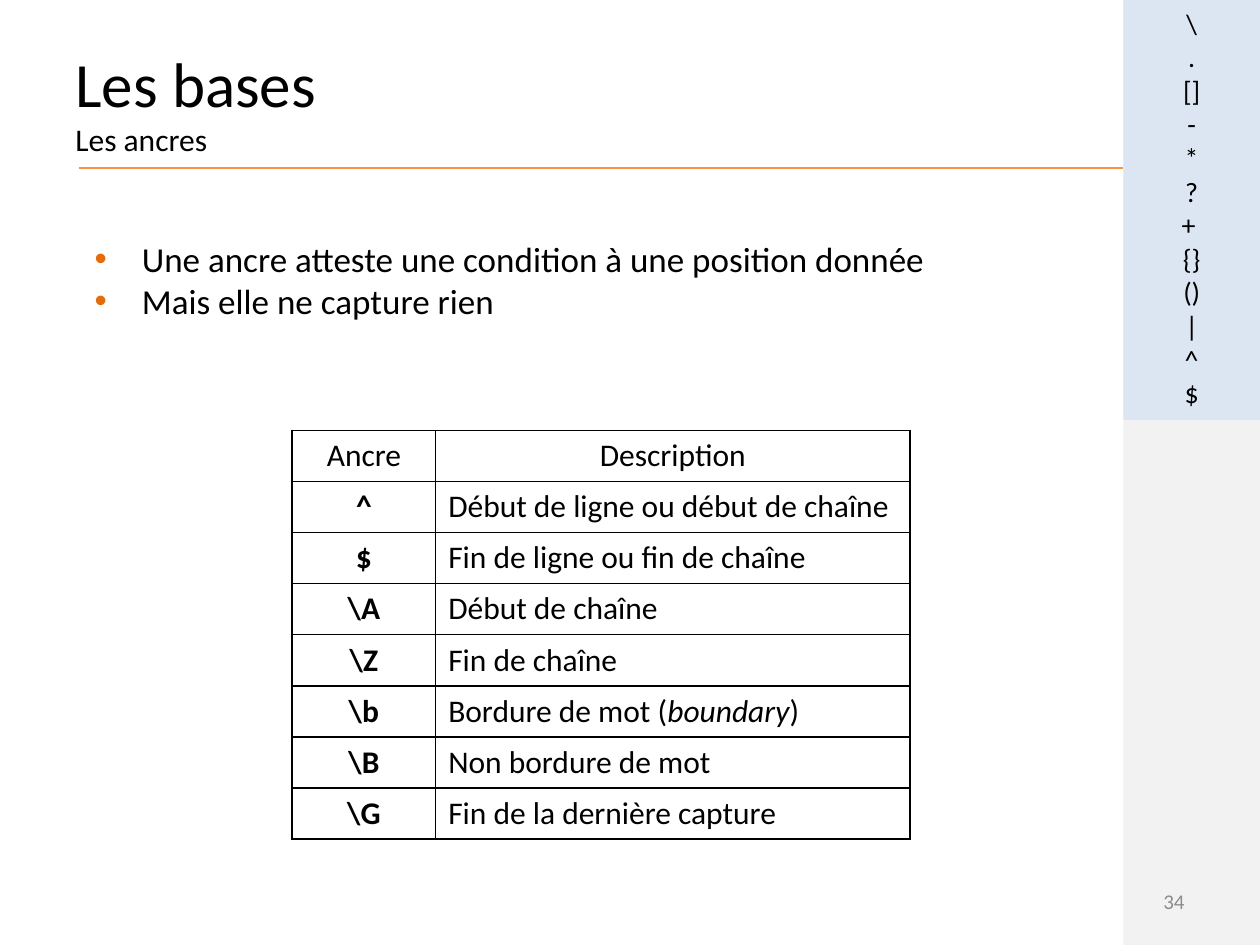
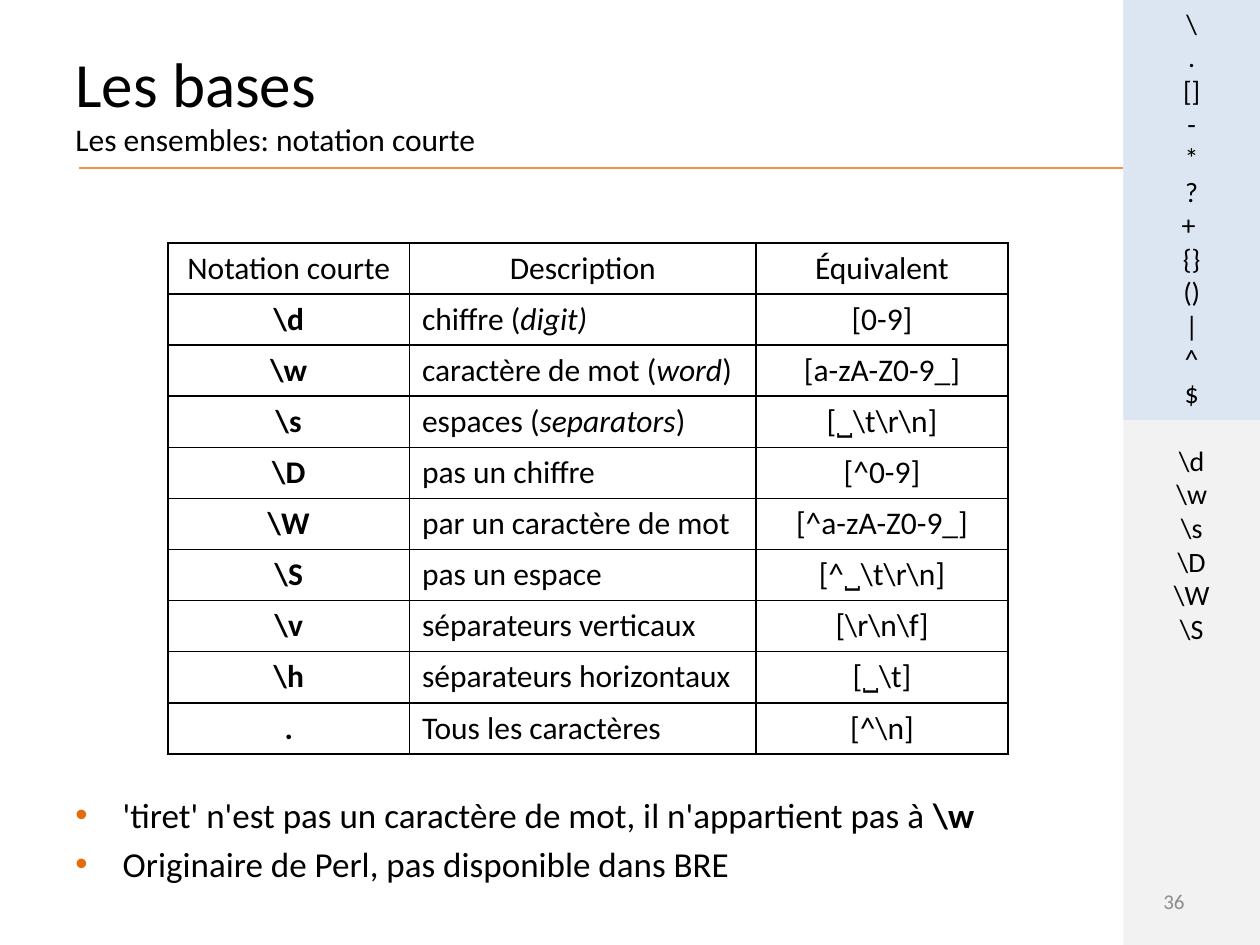
"""Build two slides on regular expression anchors and short set notations."""
import lxml.etree
import pptx
import pptx.dml.color
import pptx.enum.shapes
import pptx.enum.text
import pptx.oxml
import pptx.oxml.ns
import pptx.util

Pt = pptx.util.Pt
RGBColor = pptx.dml.color.RGBColor
ALIGN = pptx.enum.text.PP_ALIGN
FONT = "Calibri"
BLACK = RGBColor(0x00, 0x00, 0x00)
GREY = RGBColor(0x8C, 0x8C, 0x8C)
SIDEBAR = RGBColor(0xF2, 0xF2, 0xF2)
SIDEBAR_TOP = RGBColor(0xDC, 0xE6, 0xF2)
RULE = RGBColor(0xF6, 0x92, 0x40)
BULLET = RGBColor(0xE4, 0x6C, 0x0A)
SIDEBAR_LEFT, SIDEBAR_WIDTH = 642, 78
ROW_HEIGHT = 29.2
METACHARACTERS = ["\\", ".", "[]", "-", "*", "?", "+ ", "{}", "()", "|", "^", "$"]
NAMESPACE = pptx.oxml.ns.nsdecls("a")

# Text between tildes is emphasised.
SLIDES = [
    {
        "number": "34",
        "subtitle": "Les ancres",
        "shorthands": [],
        "table_at": (167, 245.9),
        "columns": [82, 271],
        "rows": [
            ["Ancre", "Description"],
            ["~^~", "Début de ligne ou début de chaîne"],
            ["~$~", "Fin de ligne ou fin de chaîne"],
            ["~\\A~", "Début de chaîne"],
            ["~\\Z~", "Fin de chaîne"],
            ["~\\b~", "Bordure de mot (~boundary~)"],
            ["~\\B~", "Non bordure de mot"],
            ["~\\G~", "Fin de la dernière capture"],
        ],
        "bullets_at": (47, 132, 565, 56),
        "bullet_gap": 0,
        "bullets": [
            "Une ancre atteste une condition à une position donnée",
            "Mais elle ne capture rien",
        ],
    },
    {
        "number": "36",
        "subtitle": "Les ensembles: notation courte",
        "shorthands": ["\\d", "\\w", "\\s", "\\D", "\\W", "\\S"],
        "table_at": (96, 138.8),
        "columns": [138, 198, 144],
        "rows": [
            ["Notation courte", "Description", "Équivalent"],
            ["~\\d~", "chiffre (~digit)~", "[0-9]"],
            ["~\\w~", "caractère de mot (~word~)", "[a-zA-Z0-9_]"],
            ["~\\s~", "espaces (~separators~)", "[~˽~\\t\\r\\n]"],
            ["~\\D~", "pas un chiffre", "[^0-9]"],
            ["~\\W~", "par un caractère de mot", "[^a-zA-Z0-9_]"],
            ["~\\S~", "pas un espace", "[^~˽~\\t\\r\\n]"],
            ["~\\v~", "séparateurs verticaux", "[\\r\\n\\f]"],
            ["~\\h~", "séparateurs horizontaux", "[~˽~\\t]"],
            ["~.~", "Tous les caractères", "[^\\n]"],
        ],
        "bullets_at": (36, 450, 600, 66),
        "bullet_gap": 4,
        "bullets": [
            "'tiret' n'est pas un caractère de mot, il n'appartient pas à ~\\w~",
            "Originaire de Perl, pas disponible dans BRE",
        ],
    },
]


def write(paragraph, text, size, color=BLACK, align=ALIGN.LEFT, italic=False):
    paragraph.alignment = align
    paragraph.font.name = FONT
    paragraph.font.size = Pt(size)
    paragraph.font.color.rgb = color
    for index, piece in enumerate(text.split("~")):
        if piece:
            run = paragraph.add_run()
            run.text = piece
            if index % 2 and italic:
                run.font.italic = True
            elif index % 2:
                run.font.bold = True


def add_text(slide, left, top, width, height, count):
    frame = slide.shapes.add_textbox(Pt(left), Pt(top), Pt(width), Pt(height)).text_frame
    frame.word_wrap = True
    for _ in range(count - 1):
        frame.add_paragraph()
    return frame


presentation = pptx.Presentation()
presentation.slide_width = Pt(720)
presentation.slide_height = Pt(540)

for content in SLIDES:
    slide = presentation.slides.add_slide(presentation.slide_layouts[6])

    for color, height in [(SIDEBAR, 540), (SIDEBAR_TOP, 240)]:
        band = slide.shapes.add_shape(
            pptx.enum.shapes.MSO_SHAPE.RECTANGLE,
            Pt(SIDEBAR_LEFT), Pt(0), Pt(SIDEBAR_WIDTH), Pt(height))
        band.shadow.inherit = False
        band.fill.solid()
        band.fill.fore_color.rgb = color
        band.line.fill.background()

    number = add_text(slide, 516, 500.5, 168, 28.8, 1)
    number.vertical_anchor = pptx.enum.text.MSO_ANCHOR.MIDDLE
    write(number.paragraphs[0], content["number"], 12, GREY, ALIGN.RIGHT)

    symbols = METACHARACTERS + content["shorthands"]
    reminder = add_text(slide, SIDEBAR_LEFT, 0, SIDEBAR_WIDTH, 20 * len(symbols), len(symbols))
    for index, symbol in enumerate(symbols):
        paragraph = reminder.paragraphs[index]
        if index == len(METACHARACTERS):
            paragraph.space_before = Pt(19.5)
        write(paragraph, symbol, 16, align=ALIGN.CENTER)

    title = add_text(slide, 36, 21.6, 600, 90, 2)
    write(title.paragraphs[0], "Les bases", 36)
    write(title.paragraphs[1], content["subtitle"], 18)

    rule = slide.shapes.add_connector(
        pptx.enum.shapes.MSO_CONNECTOR.STRAIGHT, Pt(45), Pt(96), Pt(SIDEBAR_LEFT), Pt(96))
    rule.line.color.rgb = RULE
    rule.line.width = Pt(0.75)
    lxml.etree.SubElement(rule._element.spPr, pptx.oxml.ns.qn("a:effectLst"))

    left, top = content["table_at"]
    rows, columns = content["rows"], content["columns"]
    table = slide.shapes.add_table(
        len(rows), len(columns), Pt(left), Pt(top),
        Pt(sum(columns)), Pt(ROW_HEIGHT * len(rows))).table
    table.first_row = False
    table.horz_banding = False
    for column, width in zip(table.columns, columns):
        column.width = Pt(width)
    for row_index, texts in enumerate(rows):
        table.rows[row_index].height = Pt(ROW_HEIGHT)
        for column_index, text in enumerate(texts):
            cell = table.cell(row_index, column_index)
            cell.fill.background()
            description = column_index == 1
            align = ALIGN.LEFT if description and row_index else ALIGN.CENTER
            write(cell.text_frame.paragraphs[0], text, 18, align=align, italic=description)
            for position, side in enumerate(["lnL", "lnR", "lnT", "lnB"]):
                border = pptx.oxml.parse_xml(
                    f'<a:{side} {NAMESPACE} w="{Pt(1)}"><a:solidFill>'
                    f'<a:srgbClr val="{BLACK}"/></a:solidFill></a:{side}>')
                cell._tc.get_or_add_tcPr().insert(position, border)

    bullets = add_text(slide, *content["bullets_at"], len(content["bullets"]))
    for index, text in enumerate(content["bullets"]):
        paragraph = bullets.paragraphs[index]
        if index:
            paragraph.space_before = Pt(content["bullet_gap"])
        properties = paragraph._p.get_or_add_pPr()
        properties.set("marL", str(Pt(27)))
        properties.set("indent", str(Pt(-27)))
        for element in [
            f'<a:buClr {NAMESPACE}><a:srgbClr val="{BULLET}"/></a:buClr>',
            f'<a:buFont {NAMESPACE} typeface="Arial"/>',
            f'<a:buChar {NAMESPACE} char="•"/>',
        ]:
            properties.append(pptx.oxml.parse_xml(element))
        write(paragraph, text, 20)

presentation.save("out.pptx")
